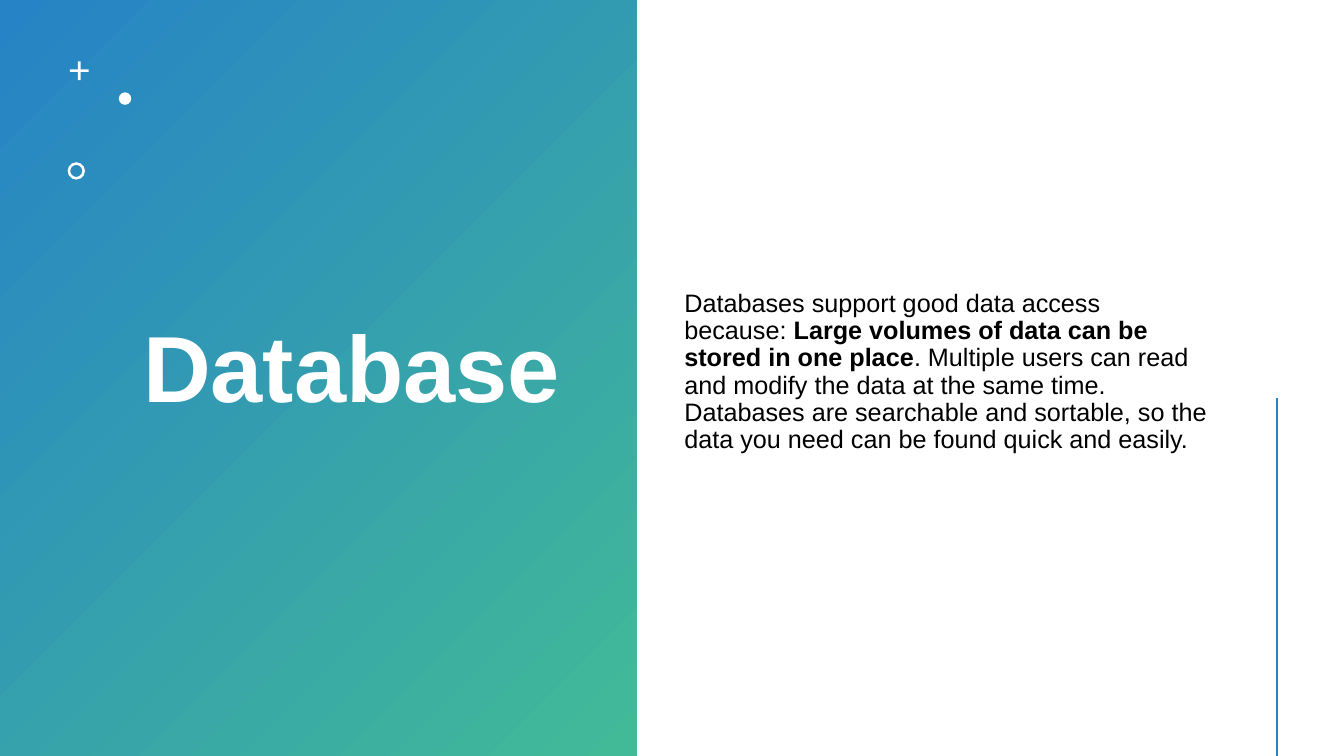
from typing import NamedTuple

from lxml.etree import SubElement
from pptx import Presentation
from pptx.dml.color import RGBColor
from pptx.enum.shapes import MSO_CONNECTOR as Connector, MSO_SHAPE as Preset
from pptx.enum.text import MSO_ANCHOR as Anchor
from pptx.oxml.ns import qn
from pptx.shapes.autoshape import Shape
from pptx.shapes.shapetree import SlideShapes
from pptx.util import Pt

BLUE = "2683C6"
GREEN = "42BA97"
WHITE = "FFFFFF"
BLACK = "000000"
FONT = "Arial"


class Ornament(NamedTuple):
    preset: Preset
    left: float
    top: float
    size: float
    adjustment: float | None = None


class Phrase(NamedTuple):
    text: str
    bold: bool = False


class Passage(NamedTuple):
    left: float
    width: float
    size: float
    color: str
    space_before: float
    phrases: list[Phrase]


ORNAMENTS = [
    Ornament(Preset.CROSS, 49.9, 43.8, 13.4, 0.43),
    Ornament(Preset.OVAL, 84.9, 66, 8.9),
    Ornament(Preset.DONUT, 48.3, 115.9, 12.4, 0.15),
]

PASSAGES = [
    Passage(93.6, 315.4, 67, WHITE, 0, [Phrase("Database", True)]),
    Passage(480.2, 392.4, 18, BLACK, 10, [
        Phrase("Databases support good data access because:\u00a0".replace("\u00a0", " ")),
        Phrase("Large volumes of data can be stored in one place", True),
        Phrase(". Multiple users can read and modify the data at the same time. "
               "Databases are searchable and sortable, so the data you need "
               "can be found quick and easily."),
    ]),
]


def rgb(value: str) -> RGBColor:
    return RGBColor.from_string(value)


def add_plain(shapes: SlideShapes, preset: Preset, left: float, top: float,
              width: float, height: float) -> Shape:
    plain = shapes.add_shape(preset, Pt(left), Pt(top), Pt(width), Pt(height))
    plain.shadow.inherit = False
    plain.line.fill.background()
    return plain


def add_panel(shapes: SlideShapes) -> None:
    panel = add_plain(shapes, Preset.RECTANGLE, 0, 0, 455, 540)
    panel.fill.gradient()
    panel.fill.gradient_angle = 315
    for stop, color, position in zip(panel.fill.gradient_stops, (BLUE, GREEN), (0, 1)):
        stop.color.rgb = rgb(color)
        stop.position = position


def add_ornament(shapes: SlideShapes, item: Ornament) -> None:
    ornament = add_plain(shapes, item.preset, item.left, item.top, item.size, item.size)
    ornament.fill.solid()
    ornament.fill.fore_color.rgb = rgb(WHITE)
    if item.adjustment is not None:
        ornament.adjustments[0] = item.adjustment


def add_passage(shapes: SlideShapes, passage: Passage) -> None:
    box = shapes.add_textbox(Pt(passage.left), Pt(30.2), Pt(passage.width), Pt(470.2))
    frame = box.text_frame
    frame.word_wrap = True
    frame.vertical_anchor = Anchor.MIDDLE
    frame.margin_left = frame.margin_top = frame.margin_right = Pt(8.64)
    frame.margin_bottom = Pt(7.2)
    paragraph = frame.paragraphs[0]
    paragraph.line_spacing = 0.9
    paragraph.space_before = Pt(passage.space_before)
    for phrase in passage.phrases:
        run = paragraph.add_run()
        run.text = phrase.text
        run.font.name = FONT
        run.font.size = Pt(passage.size)
        run.font.bold = phrase.bold
        run.font.color.rgb = rgb(passage.color)


def add_accent(shapes: SlideShapes) -> None:
    accent = shapes.add_connector(Connector.STRAIGHT, Pt(912.2), Pt(284), Pt(912.2), Pt(540))
    accent.line.color.rgb = rgb(BLUE)
    accent.line.width = Pt(2)
    SubElement(accent._element.spPr, qn("a:effectLst"))


def main() -> None:
    deck = Presentation()
    deck.slide_width, deck.slide_height = Pt(960), Pt(540)
    shapes = deck.slides.add_slide(deck.slide_layouts[6]).shapes
    add_panel(shapes)
    for item in ORNAMENTS:
        add_ornament(shapes, item)
    for passage in PASSAGES:
        add_passage(shapes, passage)
    add_accent(shapes)
    deck.save("out.pptx")


if __name__ == "__main__":
    main()
